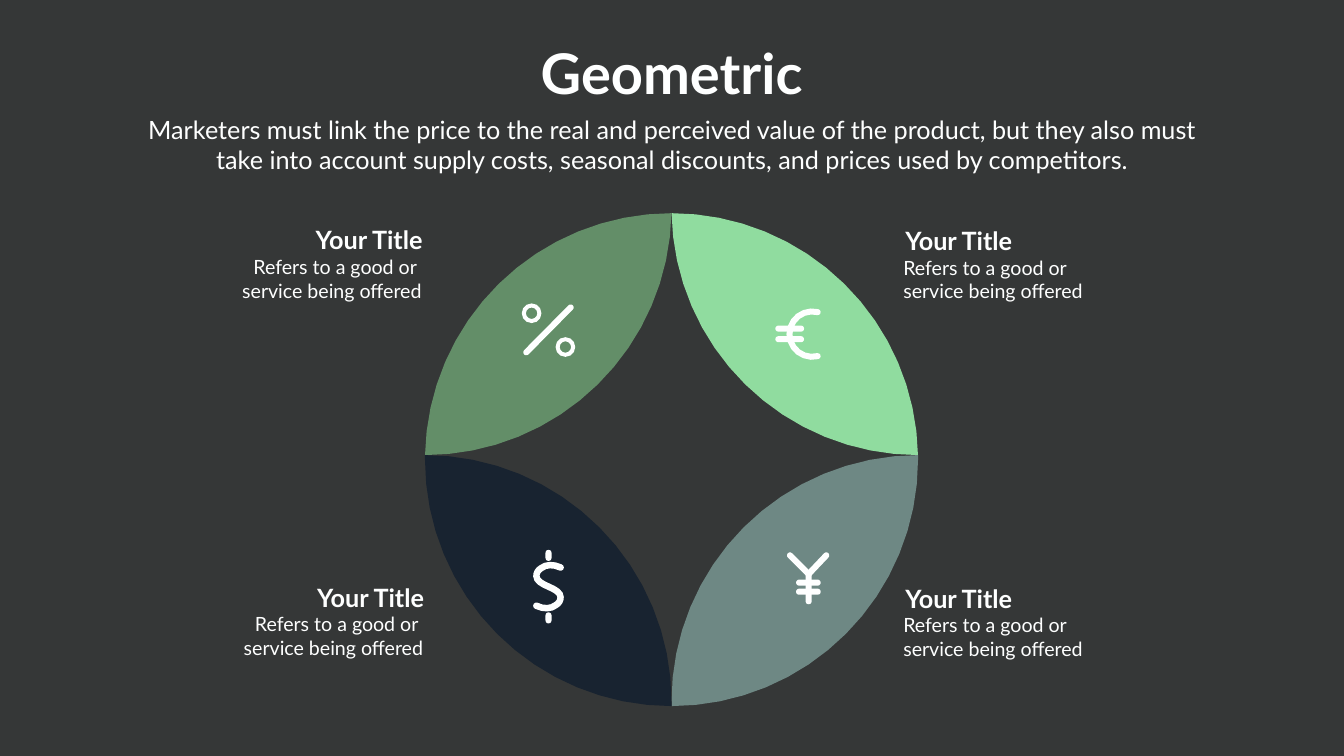
from dataclasses import dataclass
from math import acos, atan2, cos, degrees, hypot, pi, radians, sin

from pptx import Presentation
from pptx.dml.color import RGBColor
from pptx.enum.shapes import MSO_SHAPE as SHAPE
from pptx.enum.text import PP_ALIGN as ALIGN
from pptx.util import Emu, Pt

PX = 9144  # one px is a hundredth of an inch
FONT = "Lato"
COLORS = {
    "background": "353737",
    "white": "FEFFFF",
    "moss": "638E68",
    "mint": "90DC9F",
    "navy": "182330",
    "teal": "6E8884",
}
CX, CY, R = 1332, 912, 489  # circle that the petals fill
WAIST = 903  # height where upper and lower petals meet

Point = tuple[float, float]


@dataclass
class Petal:
    side: int  # -1 left, 1 right
    row: int  # -1 top, 1 bottom
    color: str
    label_x: int
    label_y: int


@dataclass
class Bar:
    x0: int
    y0: int
    x1: int
    y1: int
    width: int = 12


def rgb(name: str) -> RGBColor:
    return RGBColor.from_string(COLORS[name])


def emu(*lengths: float) -> list[Emu]:
    return [Emu(round(v * PX)) for v in lengths]


def paint(sp, color: str) -> None:
    sp.shadow.inherit = False
    sp.fill.solid()
    sp.fill.fore_color.rgb = rgb(color)
    sp.line.fill.background()


def add_outline(s, points: list[Point], color: str) -> None:
    start, *rest = [emu(*point) for point in points]
    builder = s.shapes.build_freeform(*start)
    builder.add_line_segments(rest, close=True)
    paint(builder.convert_to_shape(), color)


def arc(cx: float, cy: float, rx: float, ry: float, a0: float, a1: float,
        steps: int) -> list[Point]:
    angles = [a0 + (a1 - a0) * i / steps for i in range(steps + 1)]
    return [(cx + rx * cos(a), cy + ry * sin(a)) for a in angles]


def bezier(p0: Point, p1: Point, p2: Point, p3: Point, steps: int = 4) -> list[Point]:
    points = []
    for t in (i / steps for i in range(steps)):
        u = 1 - t
        weights = (u ** 3, 3 * u * u * t, 3 * u * t * t, t ** 3)
        points.append(tuple(sum(w * p[k] for w, p in zip(weights, (p0, p1, p2, p3)))
                            for k in (0, 1)))
    return points


def add_petal(s, petal: Petal) -> None:
    # Upper petals stop where the circle crosses the waist
    end = acos((CY - WAIST) / R) if petal.row < 0 else pi / 2
    rx, ry = petal.side * R, petal.row * R
    outer = arc(CX, CY, rx, ry, pi / 2, pi / 2 - end, 16)
    inner = arc(CX + rx, WAIST + ry, -rx, -ry, pi / 2, pi / 2 - end, 16)
    add_outline(s, outer + inner, petal.color)


def add_curve(s, pts: list[Point], width: int) -> None:
    """Draw a filled band with round ends along a centre line."""
    half = width / 2
    headings = []
    for i in range(len(pts)):
        (x0, y0), (x1, y1) = pts[max(i - 1, 0)], pts[min(i + 1, len(pts) - 1)]
        headings.append(atan2(y1 - y0, x1 - x0))

    def edge(turn: float) -> list[Point]:
        return [(x + half * cos(a + turn), y + half * sin(a + turn))
                for (x, y), a in zip(pts, headings)][1:-1]

    first, last = headings[0], headings[-1]
    end_cap = arc(*pts[-1], half, half, last - pi / 2, last + pi / 2, 5)
    start_cap = arc(*pts[0], half, half, first + pi / 2, first + 3 * pi / 2, 5)
    add_outline(s, edge(-pi / 2) + end_cap + edge(pi / 2)[::-1] + start_cap, "white")


def add_bar(s, bar: Bar) -> None:
    dx, dy = bar.x1 - bar.x0, bar.y1 - bar.y0
    length = hypot(dx, dy) + bar.width
    x = (bar.x0 + bar.x1 - length) / 2
    y = (bar.y0 + bar.y1 - bar.width) / 2
    sp = s.shapes.add_shape(SHAPE.ROUNDED_RECTANGLE, *emu(x, y, length, bar.width))
    sp.adjustments[0] = 0.5
    sp.rotation = degrees(atan2(dy, dx))
    paint(sp, "white")


def add_ring(s, x: int, y: int, size: int) -> None:
    sp = s.shapes.add_shape(SHAPE.DONUT, *emu(x, y, size, size))
    sp.adjustments[0] = 0.21
    paint(sp, "white")


def add_text(s, text: str, x: int, y: int, w: int, h: int, *, size: int,
             bold: bool = False, align: ALIGN = ALIGN.LEFT) -> None:
    tf = s.shapes.add_textbox(*emu(x, y, w, h)).text_frame
    tf.word_wrap = True
    for i, line in enumerate(text.split("\n")):
        p = tf.paragraphs[0] if i == 0 else tf.add_paragraph()
        p.alignment = align
        r = p.add_run()
        r.text = line
        r.font.name = FONT
        r.font.size = Pt(size)
        r.font.bold = bold
        r.font.color.rgb = rgb("white")


def add_label(s, petal: Petal) -> None:
    left = petal.side < 0
    align = ALIGN.RIGHT if left else ALIGN.LEFT
    # The space after "or" sets the right-aligned line in a little
    text = f"Refers to a good or{' ' if left else ''}\nservice being offered"
    x, y = petal.label_x, petal.label_y
    add_text(s, text, x, y, 392, 101, size=28, align=align)
    add_text(s, "Your Title", x + (140 if left else 4), y - 60, 254, 51,
             size=36, bold=True, align=align)


def dollar_curve() -> list[Point]:
    # The lower half is the upper half turned about the middle of the S
    upper = (bezier((1112, 1126), (1097, 1119), (1083, 1120), (1074, 1127))
             + bezier((1074, 1127), (1067, 1131), (1064, 1137), (1064, 1143))
             + bezier((1064, 1143), (1064, 1152), (1074, 1158), (1088, 1164)))
    return upper + [(2 * 1088 - x, 2 * 1164 - y) for x, y in reversed(upper)]


PETALS = [
    Petal(1, -1, "mint", 1782, 502),
    Petal(1, 1, "teal", 1782, 1212),
    Petal(-1, -1, "moss", 454, 501),
    Petal(-1, 1, "navy", 457, 1210),
]
BARS = [
    # Dollar
    *(Bar(1088, y, 1088, y + 10) for y in (1097, 1221)),
    # Euro
    *(Bar(1544, y, 1589, y) for y in (652, 673)),
    # Yen
    Bar(1567, 1102, 1604, 1139),
    Bar(1639, 1102, 1604, 1139),
    Bar(1604, 1138, 1604, 1193),
    *(Bar(1585, y, 1622, y) for y in (1156, 1174)),
    # Percent
    Bar(1044, 699, 1132, 610),
]


def main() -> None:
    prs = Presentation()
    prs.slide_width, prs.slide_height = emu(2666, 1500)
    s = prs.slides.add_slide(prs.slide_layouts[6])
    s.background.fill.solid()
    s.background.fill.fore_color.rgb = rgb("background")

    # Petals and currency symbols
    for petal in PETALS:
        add_petal(s, petal)
    add_curve(s, dollar_curve(), 13)
    add_curve(s, arc(1611, 663, 45, 45, radians(284), radians(76), 12), 12)
    for bar in BARS:
        add_bar(s, bar)
    for x, y in ((1035, 602), (1102, 669)):
        add_ring(s, x, y, 39)

    # Heading
    add_text(s, "Geometric ", 1055, 72, 555, 145, size=80, bold=True, align=ALIGN.CENTER)
    add_text(s, "Marketers must link the price to the real and perceived value of the "
             "product, but they also must take into account supply costs, seasonal "
             "discounts, and prices used by competitors.",
             268, 221, 2130, 131, size=36, align=ALIGN.CENTER)

    # Labels
    for petal in PETALS:
        add_label(s, petal)

    prs.save("out.pptx")


if __name__ == "__main__":
    main()
